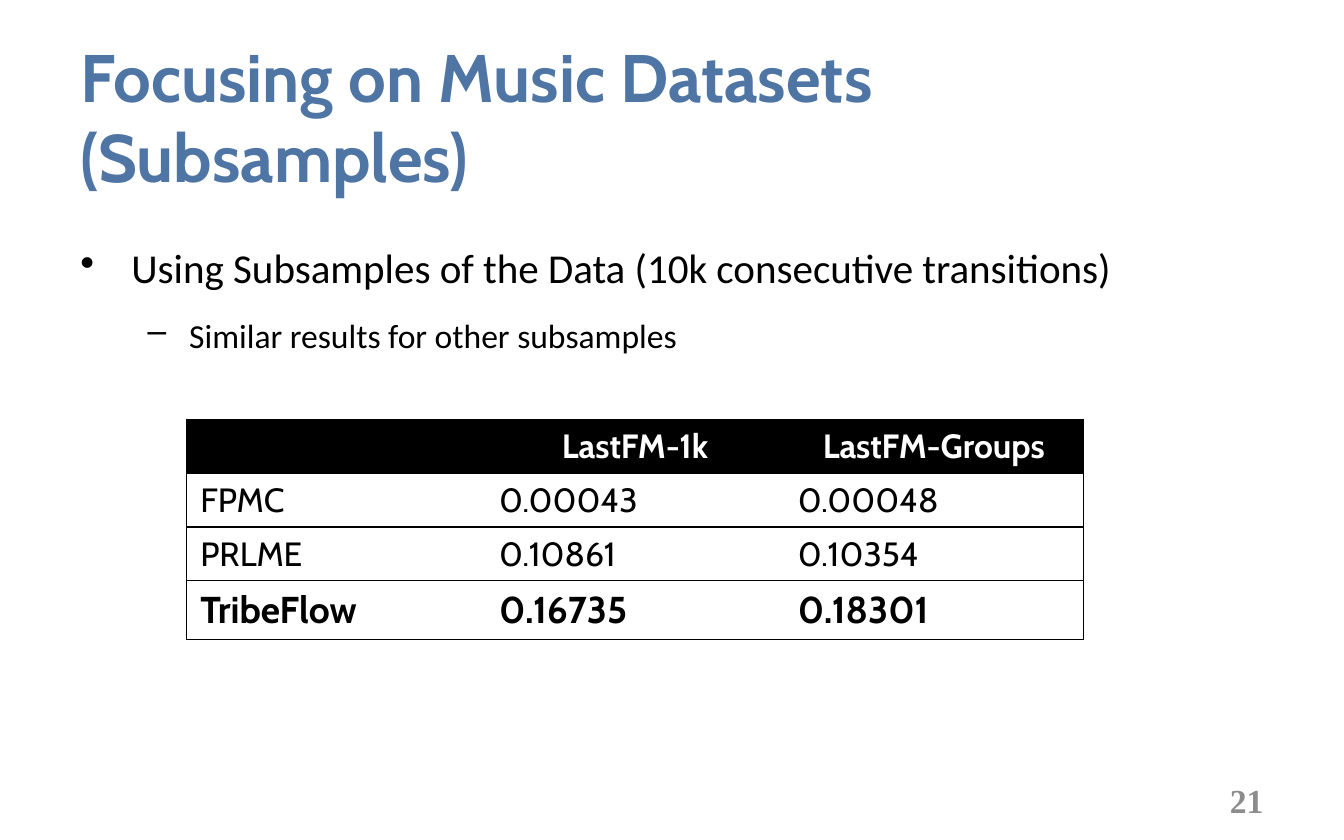
from dataclasses import dataclass

from lxml import etree
from pptx import Presentation
from pptx.dml.color import RGBColor
from pptx.enum import text
from pptx.oxml import ns
from pptx.util import Inches, Pt

COLORS = {"title": "4E75A3", "ink": "000000", "header": "FFFFFF", "number": "8C8C8C"}


@dataclass
class Style:
    font: str
    size: int
    color: str
    bold: bool = False


@dataclass
class Bullet:
    wording: str
    symbol: str
    size: int
    level: int
    margin: float
    indent: float
    before: float


@dataclass
class Row:
    values: tuple[str, ...]
    height: float
    style: Style


HEADER = Style("Cabin", 18, "header", True)
PLAIN = Style("Cabin", 18, "ink")
BEST = Style("Cabin", 20, "ink", True)

BULLETS = [
    Bullet("Using Subsamples of the Data (10k consecutive transitions)",
           "•", 22, 0, 0.38, -0.38, 0),
    Bullet("Similar results for other subsamples", "–", 18, 1, 0.81, -0.31, 3.6),
]
ROWS = [
    Row(("", "LastFM-1k", "LastFM-Groups"), 0.4, HEADER),
    Row(("FPMC", "0.00043", "0.00048"), 0.4, PLAIN),
    Row(("PRLME", "0.10861", "0.10354"), 0.4, PLAIN),
    Row(("TribeFlow", "0.16735", "0.18301"), 0.44, BEST),
]


def format_paragraph(paragraph, style: Style) -> None:
    for span in paragraph.runs:
        span.font.name = style.font
        span.font.size = Pt(style.size)
        span.font.bold = style.bold
        span.font.color.rgb = RGBColor.from_string(COLORS[style.color])


def add_box(page, left: float, top: float, width: float, height: float, anchor):
    box = page.shapes.add_textbox(Inches(left), Inches(top), Inches(width), Inches(height))
    box.text_frame.word_wrap = True
    box.text_frame.vertical_anchor = anchor
    return box.text_frame


def add_line(page, wording: str, place: tuple[float, ...], style: Style, align) -> None:
    frame = add_box(page, *place, text.MSO_ANCHOR.MIDDLE)
    frame.text = wording
    frame.paragraphs[0].alignment = align
    format_paragraph(frame.paragraphs[0], style)


def add_bullets(page, bullets: list[Bullet]) -> None:
    frame = add_box(page, 0.5, 1.61, 9, 4.25, text.MSO_ANCHOR.TOP)
    frame.text = "\n".join(bullet.wording for bullet in bullets)
    for paragraph, bullet in zip(frame.paragraphs, bullets):
        paragraph.level = bullet.level
        paragraph.line_spacing = 1.4
        paragraph.space_before = Pt(bullet.before)
        properties = paragraph._p.get_or_add_pPr()
        properties.set("marL", str(Inches(bullet.margin)))
        properties.set("indent", str(Inches(bullet.indent)))
        etree.SubElement(properties, ns.qn("a:buChar"), char=bullet.symbol)
        format_paragraph(paragraph, Style("Calibri", bullet.size, "ink"))


def set_borders(cell, sides: str) -> None:
    properties = cell._tc.get_or_add_tcPr()
    for side in "LRTB":
        line = etree.SubElement(properties, ns.qn(f"a:ln{side}"), w=str(Pt(0.75)))
        if side in sides:
            fill = etree.SubElement(line, ns.qn("a:solidFill"))
            etree.SubElement(fill, ns.qn("a:srgbClr"), val=COLORS["ink"])
        else:
            etree.SubElement(line, ns.qn("a:noFill"))


def add_results(page, rows: list[Row]) -> None:
    count = len(rows[0].values)
    height = sum(row.height for row in rows)
    table = page.shapes.add_table(len(rows), count, Inches(1.39), Inches(3.12),
                                  Inches(6.67), Inches(height)).table
    table.first_row = False
    table.horz_banding = False
    for line, row in zip(table.rows, rows):
        line.height = Inches(row.height)
        for column, (cell, value) in enumerate(zip(line.cells, row.values)):
            cell.text = value
            paragraph = cell.text_frame.paragraphs[0]
            format_paragraph(paragraph, row.style)
            set_borders(cell, "TB" + "L" * (column == 0) + "R" * (column == count - 1))
            if row.style is HEADER:
                paragraph.alignment = text.PP_ALIGN.CENTER
                cell.fill.solid()
                cell.fill.fore_color.rgb = RGBColor.from_string(COLORS["ink"])
            else:
                cell.fill.background()


def main() -> None:
    deck = Presentation()
    deck.slide_width, deck.slide_height = Inches(10), Inches(6.25)
    page = deck.slides.add_slide(deck.slide_layouts[6])
    add_bullets(page, BULLETS)
    add_line(page, "21", (7.17, 5.79, 2.33, 0.33),
             Style("Times New Roman", 18, "number", True), text.PP_ALIGN.RIGHT)
    add_line(page, "Focusing on Music Datasets (Subsamples)", (0.5, 0.34, 9, 1.04),
             Style("Cabin", 36, "title", True), text.PP_ALIGN.LEFT)
    add_results(page, ROWS)
    deck.save("out.pptx")


if __name__ == "__main__":
    main()
